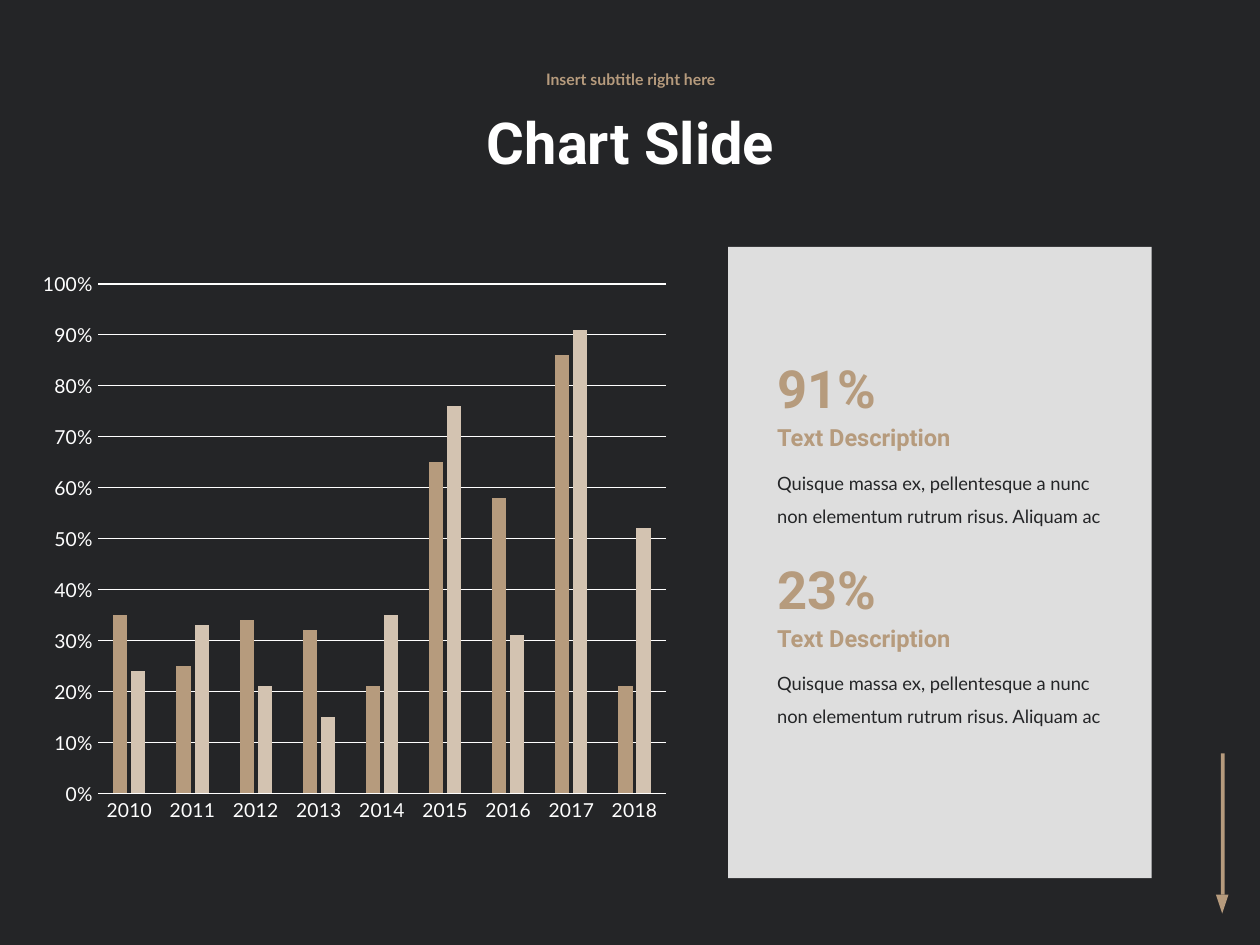
from lxml import etree
from pptx import Presentation
from pptx import util as u
from pptx.chart.data import CategoryChartData
from pptx.dml.color import RGBColor
from pptx.enum import chart as charts, shapes, text
from pptx.oxml import parse_xml
from pptx.oxml.ns import nsdecls, qn

DARK = RGBColor(0x24, 0x25, 0x27)
WHITE = RGBColor(0xFF, 0xFF, 0xFF)
TAN = RGBColor(0xB6, 0x9B, 0x7D)
SAND = RGBColor(0xD3, 0xC3, 0xB1)


def write_text(shape, content, size, color, font="Roboto", bold=True,
               align=text.PP_ALIGN.LEFT, spacing=1.0, anchor=text.MSO_ANCHOR.TOP):
    frame = shape.text_frame
    frame.word_wrap = True
    frame.auto_size = text.MSO_AUTO_SIZE.NONE
    frame.vertical_anchor = anchor
    paragraph = frame.paragraphs[0]
    paragraph.alignment = align
    paragraph.line_spacing = spacing
    run = paragraph.add_run()
    run.text = content
    run.font.size = u.Pt(size)
    run.font.name = font
    run.font.bold = bold
    run.font.color.rgb = color


def add_block(slide, kind, left, top, width, height, color):
    shape = slide.shapes.add_shape(kind, *map(u.Inches, (left, top, width, height)))
    shape.shadow.inherit = False
    shape.fill.solid()
    shape.fill.fore_color.rgb = color
    shape.line.fill.background()
    return shape


presentation = Presentation()
presentation.slide_width = u.Inches(10)
presentation.slide_height = u.Inches(7.5)
slide = presentation.slides.add_slide(presentation.slide_layouts[5])
slide.background.fill.solid()
slide.background.fill.fore_color.rgb = DARK

title = slide.shapes.title
title.left, title.top = u.Inches(2.19), u.Inches(0.64)
title.width, title.height = u.Inches(5.63), u.Inches(1.03)
write_text(title, "Chart Slide", 33, WHITE, align=text.PP_ALIGN.CENTER,
           spacing=0.9, anchor=text.MSO_ANCHOR.MIDDLE)

subtitle = slide.shapes.add_textbox(
    u.Inches(2.19), u.Inches(0.45), u.Inches(5.63), u.Inches(0.38))
write_text(subtitle, "Insert subtitle right here", 9, TAN, font="Lato",
           align=text.PP_ALIGN.CENTER, spacing=0.9, anchor=text.MSO_ANCHOR.MIDDLE)

add_block(slide, shapes.MSO_SHAPE.RECTANGLE, 9.69, 5.98, 0.03, 1.12, TAN)
arrow_tip = add_block(slide, shapes.MSO_SHAPE.ISOSCELES_TRIANGLE, 9.65, 7.1, 0.1, 0.15, TAN)
arrow_tip.rotation = 180

panel = add_block(slide, shapes.MSO_SHAPE.RECTANGLE, 5.78, 1.96, 3.36, 5.01, WHITE)
panel_color = panel.fill._xPr.find(qn("a:solidFill"))[0]
etree.SubElement(panel_color, qn("a:alpha"), val="85000")

chart_data = CategoryChartData(number_format="0%")
chart_data.categories = [str(year) for year in range(2010, 2019)]
chart_data.add_series("Series 1", [0.35, 0.25, 0.34, 0.32, 0.21, 0.65, 0.58, 0.86, 0.21])
chart_data.add_series("Series 2", [0.24, 0.33, 0.21, 0.15, 0.35, 0.76, 0.31, 0.91, 0.52])
chart = slide.shapes.add_chart(
    charts.XL_CHART_TYPE.COLUMN_CLUSTERED, u.Inches(0.33), u.Inches(2.16),
    u.Inches(5.08), u.Inches(4.62), chart_data).chart
chart.has_legend = False
chart.has_title = False
chart.font.size = u.Pt(11)
chart.font.name = "Lato"
chart.font.color.rgb = WHITE

plot = chart.plots[0]
plot.gap_width = 219
plot.overlap = -27
plot.vary_by_categories = False
for series, color in zip(plot.series, (TAN, SAND)):
    series.format.fill.solid()
    series.format.fill.fore_color.rgb = color

category_axis, value_axis = chart.category_axis, chart.value_axis
for axis in (category_axis, value_axis):
    axis.major_tick_mark = charts.XL_TICK_MARK.NONE
    axis.minor_tick_mark = charts.XL_TICK_MARK.NONE
value_axis.minimum_scale = 0
value_axis.maximum_scale = 1
value_axis.major_unit = 0.1
value_axis.tick_labels.number_format = "0%"
value_axis.tick_labels.number_format_is_linked = False
value_axis.format.line.fill.background()
for line in (category_axis.format.line, value_axis.major_gridlines.format.line):
    line.color.rgb = WHITE
    line.width = u.Pt(0.75)

plot_area = chart._chartSpace.chart.plotArea
for old_layout in plot_area.findall(qn("c:layout")):
    plot_area.remove(old_layout)
plot_area.insert(0, parse_xml(
    f'<c:layout {nsdecls("c")}><c:manualLayout><c:layoutTarget val="inner"/>'
    '<c:xMode val="edge"/><c:yMode val="edge"/><c:x val="0.088"/><c:y val="0.018"/>'
    '<c:w val="0.888"/><c:h val="0.877"/></c:manualLayout></c:layout>'))

DESCRIPTION = "Quisque massa ex, pellentesque a nunc non elementum rutrum risus. Aliquam ac"
for index, percentage in enumerate(("91%", "23%")):
    top = 2.78 + index * 1.59
    for content, offset, width, height, style in (
        (percentage, 0, 1.61, 0.61, dict(size=30, color=TAN)),
        ("Text Description", 0.53, 2.19, 0.33, dict(size=13.5, color=TAN)),
        (DESCRIPTION, 0.83, 2.79, 0.6,
         dict(size=10.5, color=DARK, font="Lato", bold=False, spacing=1.5)),
    ):
        box = slide.shapes.add_textbox(
            u.Inches(6.07), u.Inches(top + offset), u.Inches(width), u.Inches(height))
        write_text(box, content, **style)

presentation.save("out.pptx")
